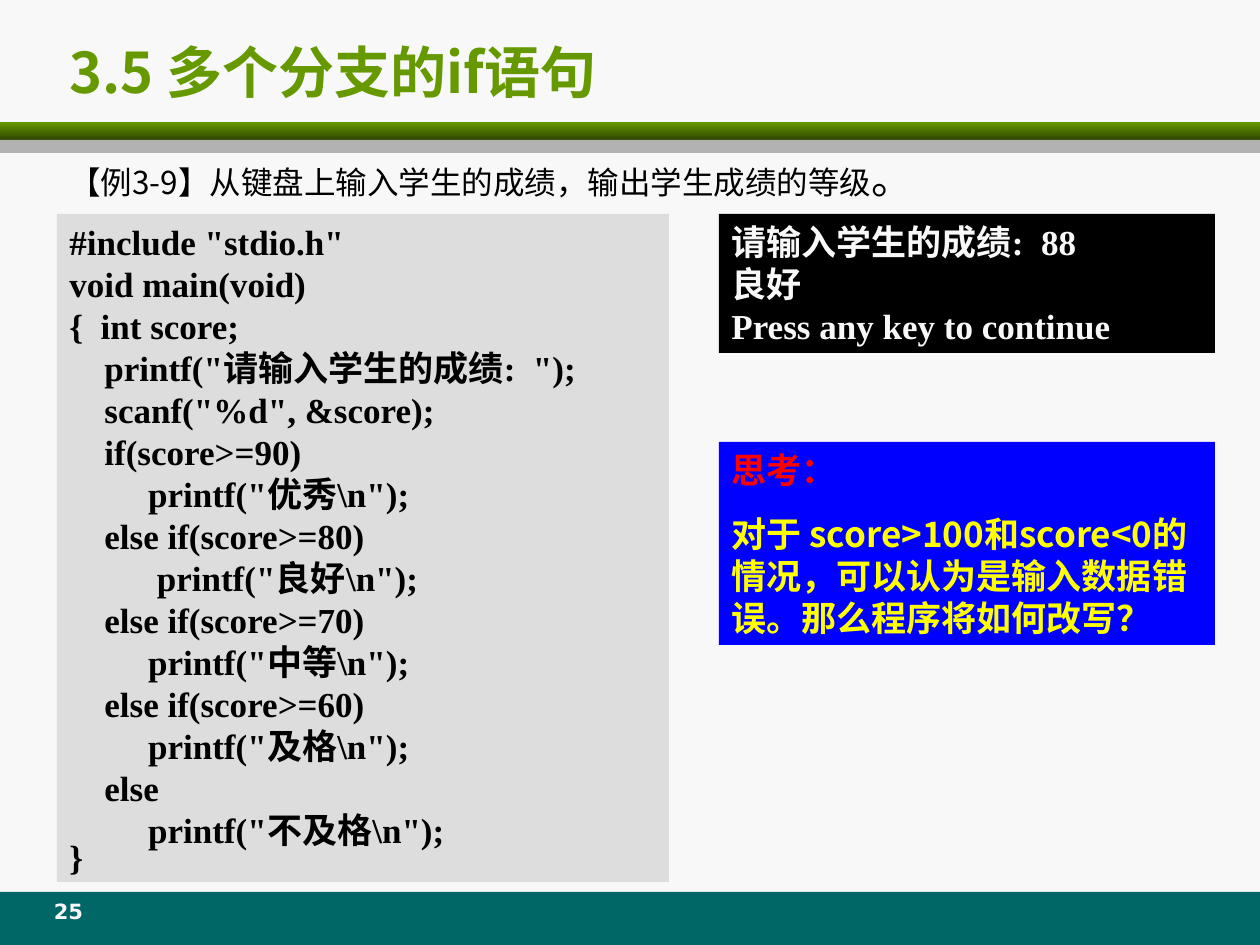
from dataclasses import dataclass

from lxml import etree
from pptx import Presentation
from pptx import util as u
from pptx.dml.color import RGBColor
from pptx.enum import shapes, text
from pptx.oxml.ns import qn

PX = u.Inches(1) / 126


@dataclass(frozen=True)
class Theme:
    paper: str = "F8F8F8"
    green: str = "669900"
    dark_green: str = "2F4600"
    grey: str = "B2B2B2"
    teal: str = "006666"
    code_fill: str = "DDDDDD"
    black: str = "000000"
    blue: str = "0000FF"
    red: str = "FF0000"
    yellow: str = "FFFF00"
    title_font: str = "Noto Sans CJK JP"
    body_font: str = "Noto Sans CJK SC"
    code_font: str = "Times New Roman"
    number_font: str = "DejaVu Sans"
    title_size: int = 32
    stop_size: int = 24
    code_size: int = 20
    body_size: int = 18
    number_size: int = 12


THEME = Theme()

CODE = r'''#include "stdio.h"
void main(void)
{  int score;
    printf("请输入学生的成绩:  ");
    scanf("%d", &score);
    if(score>=90)
         printf("优秀\n");
    else if(score>=80)
          printf("良好\n");
    else if(score>=70)
         printf("中等\n");
    else if(score>=60)
         printf("及格\n");
    else
         printf("不及格\n");
}'''

CONSOLE = """请输入学生的成绩:  88
良好
Press any key to continue"""


def emu(box):
    return [u.Emu(round(length * PX)) for length in box]


def rgb(color):
    return RGBColor.from_string(color)


def add_panel(slide, box, color):
    panel = slide.shapes.add_shape(shapes.MSO_SHAPE.RECTANGLE, *emu(box))
    panel.shadow.inherit = False
    panel.line.fill.background()
    panel.fill.solid()
    panel.fill.fore_color.rgb = rgb(color)
    panel.text_frame.word_wrap = True
    panel.text_frame.vertical_anchor = text.MSO_ANCHOR.TOP
    return panel


def add_label(slide, box):
    frame = slide.shapes.add_textbox(*emu(box)).text_frame
    frame.word_wrap = True
    return frame


def style(paragraph, font, size, color, bold=True, align=text.PP_ALIGN.LEFT):
    paragraph.alignment = align
    paragraph.font.name = font
    paragraph.font.size = u.Pt(size)
    paragraph.font.bold = bold
    paragraph.font.color.rgb = rgb(color)
    defaults = paragraph._p.pPr.find(qn("a:defRPr"))
    etree.SubElement(defaults, qn("a:ea"), typeface=THEME.body_font if font == THEME.code_font else font)


def add_header(slide, box, heading):
    left, top, width, height = box
    band = add_panel(slide, (left, top + height - 31, width, 18), THEME.green)
    band.fill.gradient()
    band.fill.gradient_angle = 270
    for stop, color in zip(band.fill.gradient_stops, (THEME.green, THEME.dark_green)):
        stop.color.rgb = rgb(color)
    add_panel(slide, (left, top + height - 13, width, 13), THEME.grey)
    title = add_label(slide, (left + 57, top + 29, width - 82, 84))
    title.vertical_anchor = text.MSO_ANCHOR.MIDDLE
    title.text = heading
    style(title.paragraphs[0], THEME.title_font, THEME.title_size, THEME.green)


def add_example(slide, box, wording, full_stop):
    example = add_label(slide, box).paragraphs[0]
    example.line_spacing = 0.9
    example.add_run().text = wording
    ending = example.add_run()
    ending.text = full_stop
    ending.font.size = u.Pt(THEME.stop_size)
    style(example, THEME.body_font, THEME.body_size, THEME.black, bold=False)


def add_listing(slide, box, lines, fill, color):
    listing = add_panel(slide, box, fill).text_frame
    listing.text = lines
    for line in listing.paragraphs:
        style(line, THEME.code_font, THEME.code_size, color)
    return listing


def add_question(slide, box, heading, question):
    frame = add_panel(slide, box, THEME.blue).text_frame
    frame.text = f"{heading}\n{question}"
    for paragraph, color in zip(frame.paragraphs, (THEME.red, THEME.yellow)):
        style(paragraph, THEME.body_font, THEME.code_size, color)
    frame.paragraphs[1].space_before = u.Pt(12.5)


def add_footer(slide, box, page):
    left, top, width, height = box
    add_panel(slide, box, THEME.teal)
    number = add_label(slide, (left + 32, top, 73, 42))
    number.text = page
    style(number.paragraphs[0], THEME.number_font, THEME.number_size,
          THEME.paper, align=text.PP_ALIGN.CENTER)


def main():
    deck = Presentation()
    deck.slide_width, deck.slide_height = u.Inches(10), u.Inches(7.5)
    slide = deck.slides.add_slide(deck.slide_layouts[6])
    slide.background.fill.solid()
    slide.background.fill.fore_color.rgb = rgb(THEME.paper)

    add_footer(slide, (0, 892, 1260, 53), "25")
    add_header(slide, (0, 0, 1260, 153), "3.5 多个分支的if语句")
    add_example(slide, (57, 152, 1178, 62),
                "【例3-9】从键盘上输入学生的成绩，输出学生成绩的等级", "。")
    program = add_listing(slide, (57, 214, 612, 668), CODE, THEME.code_fill, THEME.black)
    program.paragraphs[-1].line_spacing = 0.6
    add_listing(slide, (719, 214, 496, 139), CONSOLE, THEME.black, THEME.paper)
    add_question(slide, (719, 442, 496, 203), "思考：",
                 "对于 score>100和score<0的情况，可以认为是输入数据错误。那么程序将如何改写？")
    deck.save("out.pptx")


if __name__ == "__main__":
    main()
